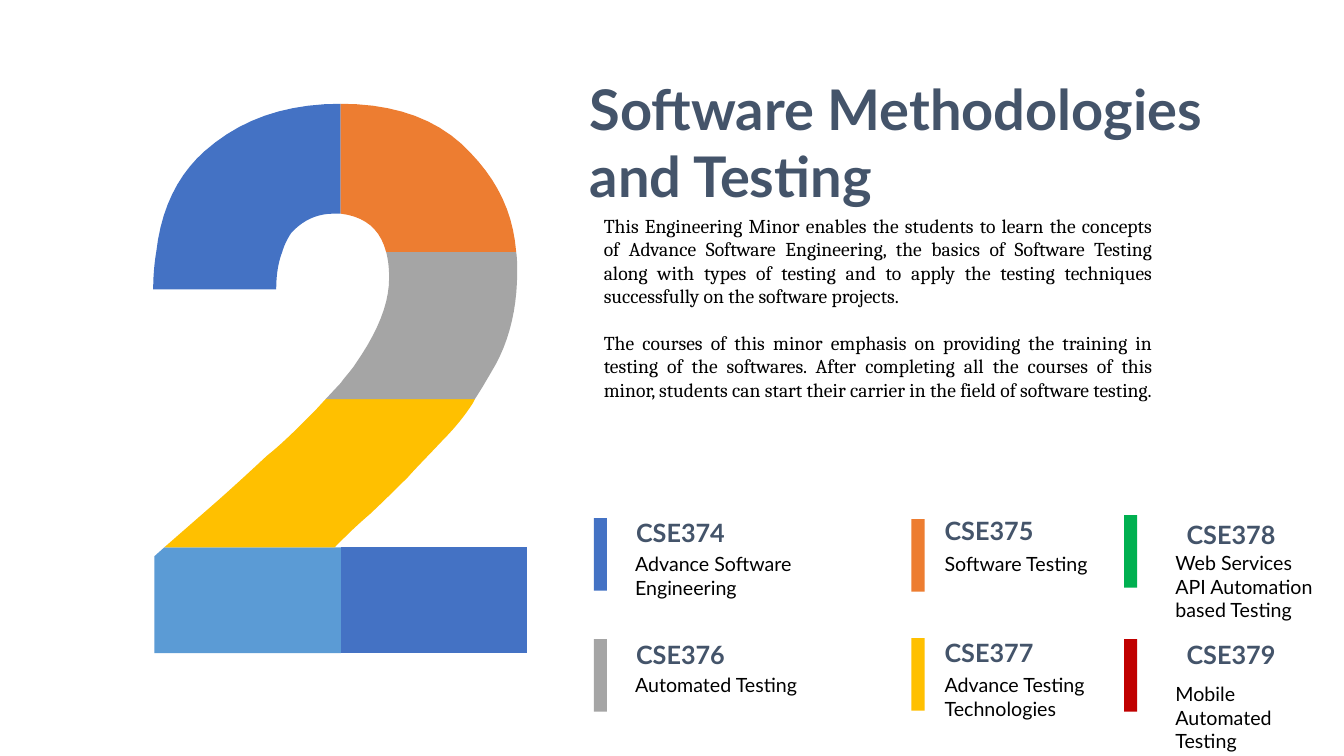
from dataclasses import dataclass

from pptx import Presentation
from pptx.dml.color import RGBColor
from pptx.enum.shapes import MSO_SHAPE
from pptx.enum.text import MSO_AUTO_SIZE, PP_ALIGN
from pptx.util import Inches, Pt

RECTANGLE = MSO_SHAPE.RECTANGLE
FIT_SHAPE = MSO_AUTO_SIZE.SHAPE_TO_FIT_TEXT
LEFT, JUSTIFY = PP_ALIGN.LEFT, PP_ALIGN.JUSTIFY


@dataclass(frozen=True)
class Theme:
    blue: str = "4472C4"
    light_blue: str = "5B9BD5"
    orange: str = "ED7D31"
    gray: str = "A5A5A5"
    yellow: str = "FFC000"
    green: str = "00B050"
    red: str = "C00000"
    heading: str = "44546A"
    body: str = "000000"
    sans: str = "Lato"
    serif: str = "Cambria"
    title_size: int = 40
    code_size: int = 18
    body_size: int = 14


theme = Theme()
CURVE_STEPS = 10

prs = Presentation()
prs.slide_width, prs.slide_height = Inches(13.33), Inches(7.5)
s = prs.slides.add_slide(prs.slide_layouts[6])


def paint(sp, color):
    sp.shadow.inherit = False
    sp.fill.solid()
    sp.fill.fore_color.rgb = RGBColor.from_string(color)
    sp.line.fill.background()


def add_text(box, lines, size, color, font=theme.sans, bold=False,
             wrap=True, align=LEFT, gap=0):
    tf = s.shapes.add_textbox(*map(Inches, box)).text_frame
    tf.word_wrap = wrap
    tf.auto_size = FIT_SHAPE
    for i, line in enumerate(lines):
        p = tf.paragraphs[0] if i == 0 else tf.add_paragraph()
        p.text = line
        p.alignment = align
        p.space_before = Pt(gap if i else 0)
        p.font.name, p.font.size, p.font.bold = font, Pt(size), bold
        p.font.color.rgb = RGBColor.from_string(color)


# Large numeral: two values are a corner, six are a Bézier curve
numeral = [
    (theme.light_blue, [(3.38, 5.43), (1.63, 5.43), (1.53, 5.52),
                        (1.53, 6.48), (3.38, 6.48)]),
    (theme.blue, [(2.03, 1.5), (1.76, 1.74, 1.6, 2.07, 1.55, 2.5),
                  (1.53, 2.62, 1.52, 2.74, 1.52, 2.87), (2.74, 2.87),
                  (2.74, 2.73, 2.76, 2.6, 2.8, 2.5),
                  (2.82, 2.43, 2.85, 2.37, 2.89, 2.31),
                  (3, 2.19, 3.14, 2.12, 3.31, 2.12), (3.38, 2.12),
                  (3.38, 1.03), (2.82, 1.03, 2.38, 1.19, 2.03, 1.5)]),
    (theme.blue, [(3.38, 5.43), (5.23, 5.43), (5.23, 6.48), (3.38, 6.48)]),
    (theme.yellow, [(3.23, 3.96), (3.12, 4.08),
                    (2.94, 4.26, 2.79, 4.41, 2.65, 4.52),
                    (2.52, 4.64, 2.34, 4.81, 2.1, 5.02), (1.63, 5.43),
                    (3.32, 5.43), (3.38, 5.37),
                    (3.44, 5.31, 3.53, 5.22, 3.67, 5.1),
                    (3.85, 4.93, 3.98, 4.8, 4.05, 4.73),
                    (4.11, 4.66, 4.22, 4.55, 4.37, 4.39),
                    (4.52, 4.24, 4.62, 4.11, 4.69, 4), (4.71, 3.96)]),
    (theme.gray, [(5.12, 2.5), (3.83, 2.5),
                  (3.85, 2.57, 3.86, 2.66, 3.86, 2.76),
                  (3.86, 3.01, 3.75, 3.29, 3.52, 3.62),
                  (3.48, 3.68, 3.43, 3.73, 3.38, 3.8), (3.23, 3.96),
                  (4.71, 3.96), (4.77, 3.87, 4.84, 3.75, 4.92, 3.61),
                  (5.06, 3.35, 5.13, 3.04, 5.13, 2.7),
                  (5.13, 2.63, 5.13, 2.56, 5.12, 2.5)]),
    (theme.orange, [(3.83, 2.5), (5.12, 2.5),
                    (5.09, 2.12, 4.94, 1.8, 4.67, 1.52),
                    (4.37, 1.19, 3.93, 1.03, 3.38, 1.03), (3.38, 2.12),
                    (3.62, 2.15, 3.77, 2.27, 3.83, 2.5)]),
]
for color, outline in numeral:
    points = [outline[0]]
    for step in outline[1:]:
        if len(step) == 2:
            points.append(step)
            continue
        x0, y0 = points[-1]
        x1, y1, x2, y2, x3, y3 = step
        for i in range(1, CURVE_STEPS + 1):
            t = i / CURVE_STEPS
            u = 1 - t
            a, b, c, d = u**3, 3 * u * u * t, 3 * u * t * t, t**3
            points.append((a * x0 + b * x1 + c * x2 + d * x3,
                           a * y0 + b * y1 + c * y2 + d * y3))
    corners = [(Inches(x), Inches(y)) for x, y in points]
    builder = s.shapes.build_freeform(*corners[0])
    builder.add_line_segments(corners[1:], close=True)
    paint(builder.convert_to_shape(), color)

# Title and description
add_text((5.75, 0.69, 7.43, 1.45), ["Software Methodologies", "and Testing"],
         theme.title_size, theme.heading, bold=True, wrap=False)
add_text((5.89, 2.07, 5.64, 2.69), [
    "This Engineering Minor enables the students to learn the concepts of "
    "Advance Software Engineering, the basics of Software Testing along with "
    "types of testing and to apply the testing techniques successfully on the "
    "software projects.",
    "The courses of this minor emphasis on providing the training in testing "
    "of the softwares. After completing all the courses of this minor, "
    "students can start their carrier in the field of software testing.",
], theme.body_size, theme.body, font=theme.serif, align=JUSTIFY, gap=16.5)

# Courses: bar x, bar y, colour, code x, code y, code, name x, y, width, height, name
courses = [
    (5.89, 5.14, theme.blue, 6.21, 5.08, "CSE374",
     6.2, 5.43, 2.49, 0.57, "Advance Software Engineering"),
    (9.04, 5.15, theme.orange, 9.27, 5.06, "CSE375",
     9.27, 5.43, 2.49, 0.34, "Software Testing"),
    (11.15, 5.11, theme.green, 11.67, 5.1, "CSE378",
     11.56, 5.42, 1.67, 0.81, "Web Services API Automation based Testing"),
    (5.89, 6.34, theme.gray, 6.21, 6.29, "CSE376",
     6.2, 6.63, 2.49, 0.34, "Automated Testing"),
    (9.04, 6.33, theme.yellow, 9.27, 6.27, "CSE377",
     9.27, 6.63, 2.49, 0.57, "Advance Testing Technologies"),
    (11.15, 6.34, theme.red, 11.67, 6.29, "CSE379",
     11.56, 6.72, 1.77, 0.57, "Mobile Automated Testing"),
]
for bar_x, bar_y, color, code_x, code_y, code, x, y, w, h, name in courses:
    bar = s.shapes.add_shape(RECTANGLE, Inches(bar_x), Inches(bar_y),
                             Inches(0.13), Inches(0.72))
    paint(bar, color)
    add_text((code_x, code_y, 1.62, 0.4), [code], theme.code_size,
             theme.heading, bold=True)
    add_text((x, y, w, h), [name], theme.body_size, theme.body)

prs.save("out.pptx")
